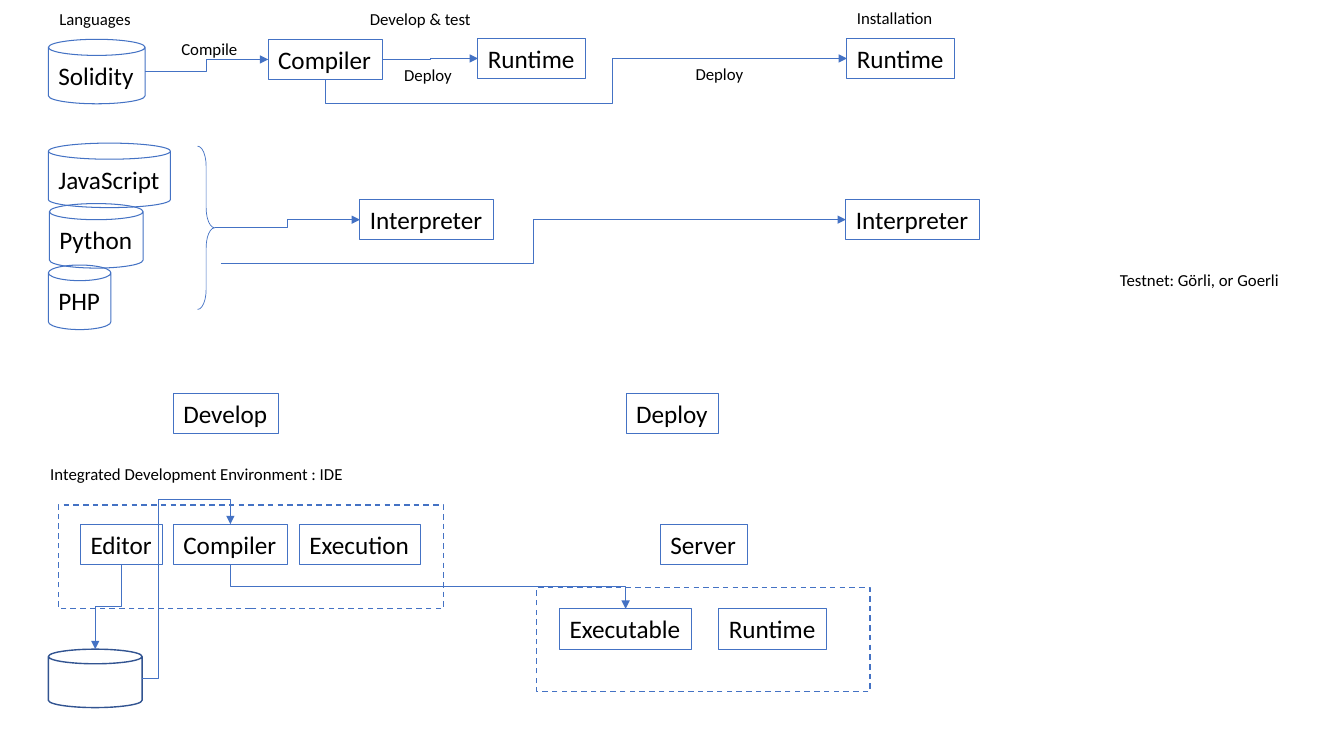
from typing import NamedTuple

from lxml.etree import SubElement
from pptx import Presentation
from pptx.dml.color import RGBColor
from pptx.enum.dml import MSO_LINE
from pptx.enum.shapes import MSO_CONNECTOR, MSO_SHAPE
from pptx.enum.text import MSO_ANCHOR, MSO_AUTO_SIZE, PP_ALIGN
from pptx.oxml.ns import qn
from pptx.util import Inches, Pt

RECT, CAN, BRACE = MSO_SHAPE.RECTANGLE, MSO_SHAPE.CAN, MSO_SHAPE.RIGHT_BRACE
ELBOW, DASH = MSO_CONNECTOR.ELBOW, MSO_LINE.DASH
LEFT, TOP, GROW = PP_ALIGN.LEFT, MSO_ANCHOR.TOP, MSO_AUTO_SIZE.SHAPE_TO_FIT_TEXT

CELL = Inches(0.1)  # side of one grid cell: a column and a row
HUES = {"line": "4472C4", "store": "325491", "text": "000000"}
FRAME = {"word_wrap": False, "auto_size": GROW, "vertical_anchor": TOP}
BOX_H, CAN_H, NOTE_H = 4, 6.4, 3


class Node(NamedTuple):
    """A shape on the grid: left, top, width and height in cells."""
    x: float
    y: float
    w: float
    h: float = BOX_H
    text: str = ""
    kind: int = RECT
    edge: float = 0.75
    hue: str = "line"
    dash: int | None = None
    bend: float | None = None


class Link(NamedTuple):
    """An elbow arrow between two node sides, or from a free point."""
    start: tuple
    end: tuple
    bends: tuple = (0.5,)


class Note(NamedTuple):
    """A small line of text at a grid place."""
    x: float
    y: float
    w: float
    text: str


NODES = {
    # Compiled language
    "solid": Node(4.8, 3.9, 9.6, CAN_H, "Solidity", CAN),
    "build": Node(26.6, 3.9, 11.3, text="Compiler"),
    "test": Node(47.4, 3.8, 10.7, text="Runtime"),
    "live": Node(84, 3.8, 10.7, text="Runtime"),
    # Interpreted languages
    "js": Node(4.8, 14.2, 12.1, CAN_H, "JavaScript", CAN),
    "py": Node(4.9, 20.2, 9.3, CAN_H, "Python", CAN),
    "php": Node(4.8, 26.3, 6.2, CAN_H, "PHP", CAN),
    "brace": Node(19.6, 14.5, 1.7, 16.2, kind=BRACE, edge=0.5, bend=1.16),
    "interp": Node(35.7, 19.8, 13.3, text="Interpreter"),
    "host": Node(83.9, 19.8, 13.3, text="Interpreter"),
    # Develop and deploy
    "dev": Node(17.2, 39, 10.4, text="Develop"),
    "ship": Node(62.1, 39, 9.2, text="Deploy"),
    "ide": Node(5.8, 50.1, 38.2, 10.3, edge=1, dash=DASH),
    "edit": Node(8, 52, 8.1, text="Editor"),
    "comp": Node(17.2, 52, 11.3, text="Compiler"),
    "exec": Node(29.7, 52, 12, text="Execution"),
    "store": Node(4.8, 64.4, 9.3, 5.8, kind=CAN, edge=1, hue="store"),
    "serve": Node(65.5, 52, 8.6, text="Server"),
    "site": Node(53.2, 58.3, 33.1, 10.3, edge=1, dash=DASH),
    "prog": Node(55.5, 60.4, 13.1, text="Executable"),
    "run": Node(71.3, 60.4, 10.7, text="Runtime"),
}

LINKS = [
    Link(("solid", "right"), ("build", "left")),
    Link(("build", "right"), ("test", "left")),
    Link(("build", "base"), ("live", "left"), (-1.14, 0.55)),
    Link(("brace", "right"), ("interp", "left")),
    Link((21.9, 26.1), ("host", "left")),
    Link(("edit", "base"), ("store", "top")),
    Link(("store", "right"), ("comp", "top"), (0.18, 1.16)),
    Link(("comp", "base"), ("prog", "top")),
]

NOTES = [
    Note(4.9, 0.4, 9.2, "Languages"),
    Note(35.7, 0.4, 12.5, "Develop & test"),
    Note(84, 0.3, 9.6, "Installation"),
    Note(17, 3.4, 8, "Compile"),
    Note(39.1, 5.9, 7.2, "Deploy"),
    Note(68, 5.8, 7.2, "Deploy"),
    Note(110.1, 26.3, 18.4, "Testnet: Görli, or Goerli"),
    Note(4, 45.5, 31.7, "Integrated Development Environment : IDE"),
]


def cells(*sizes: float) -> list[int]:
    """Turn grid sizes into slide lengths."""
    return [round(size * CELL) for size in sizes]


def tint(name: str) -> RGBColor:
    """Give the colour of that name."""
    return RGBColor.from_string(HUES[name])


def apply(target, values: dict) -> None:
    """Set each attribute in the dict on the target."""
    for name, value in values.items():
        setattr(target, name, value)


def write(shape, text: str, size: int) -> None:
    """Put one line of left-set text in a shape."""
    apply(shape.text_frame, FRAME)
    part = shape.text_frame.paragraphs[0]
    part.alignment = LEFT
    run = part.add_run()
    run.text = text
    apply(run.font, {"name": "Calibri", "size": Pt(size)})
    run.font.color.rgb = tint("text")


def draw_node(shapes, node: Node) -> None:
    """Draw an outlined shape and its text."""
    shape = shapes.add_shape(node.kind, *cells(node.x, node.y, node.w, node.h))
    shape.shadow.inherit = False
    shape.fill.background()
    shape.line.color.rgb = tint(node.hue)
    apply(shape.line, {"width": Pt(node.edge), "dash_style": node.dash})
    if node.bend is not None:
        shape.adjustments[0] = node.bend
    if node.text:
        write(shape, node.text, 18)


def draw_note(shapes, note: Note) -> None:
    """Draw a text box without an outline."""
    box = shapes.add_textbox(*cells(note.x, note.y, note.w, NOTE_H))
    write(box, note.text, 12)


def find(name: str, side: str) -> tuple[float, float]:
    """Give the middle of a side of a node."""
    node = NODES[name]
    across, down = {"left": (0, 0.5), "right": (1, 0.5),
                    "top": (0.5, 0), "base": (0.5, 1)}[side]
    return node.x + across * node.w, node.y + down * node.h


def draw_link(shapes, link: Link) -> None:
    """Draw an elbow arrow; one leaving a base is turned a quarter."""
    turn = link.start[1] == "base"
    free = not isinstance(link.start[0], str)
    x1, y1 = link.start if free else find(*link.start)
    x2, y2 = find(*link.end)
    if turn:
        mid_x, mid_y = (x1 + x2) / 2, (y1 + y2) / 2
        x1, y1, x2, y2 = (mid_x + y1 - mid_y, mid_y - x1 + mid_x,
                          mid_x + y2 - mid_y, mid_y - x2 + mid_x)
    wire = shapes.add_connector(ELBOW, *cells(x1, y1, x2, y2))
    wire.line.color.rgb = tint("line")
    wire.line.width = Pt(0.5)
    props = wire.element.spPr
    if turn:
        props.find(qn("a:xfrm")).set("rot", str(90 * 60000))
    shape = props.find(qn("a:prstGeom"))
    shape.set("prst", f"bentConnector{len(link.bends) + 2}")
    for num, bend in enumerate(link.bends, 1):
        SubElement(shape.find(qn("a:avLst")), qn("a:gd"), name=f"adj{num}",
                   fmla=f"val {round(bend * 100000)}")
    SubElement(props.find(qn("a:ln")), qn("a:tailEnd"), type="triangle")
    SubElement(props, qn("a:effectLst"))


def main() -> None:
    """Build the slide and save it."""
    deck = Presentation()
    apply(deck, {"slide_width": Inches(13.33), "slide_height": Inches(7.5)})
    shapes = deck.slides.add_slide(deck.slide_layouts[6]).shapes
    for draw, items in ((draw_node, NODES.values()), (draw_link, LINKS),
                        (draw_note, NOTES)):
        for item in items:
            draw(shapes, item)
    deck.save("out.pptx")


main()
